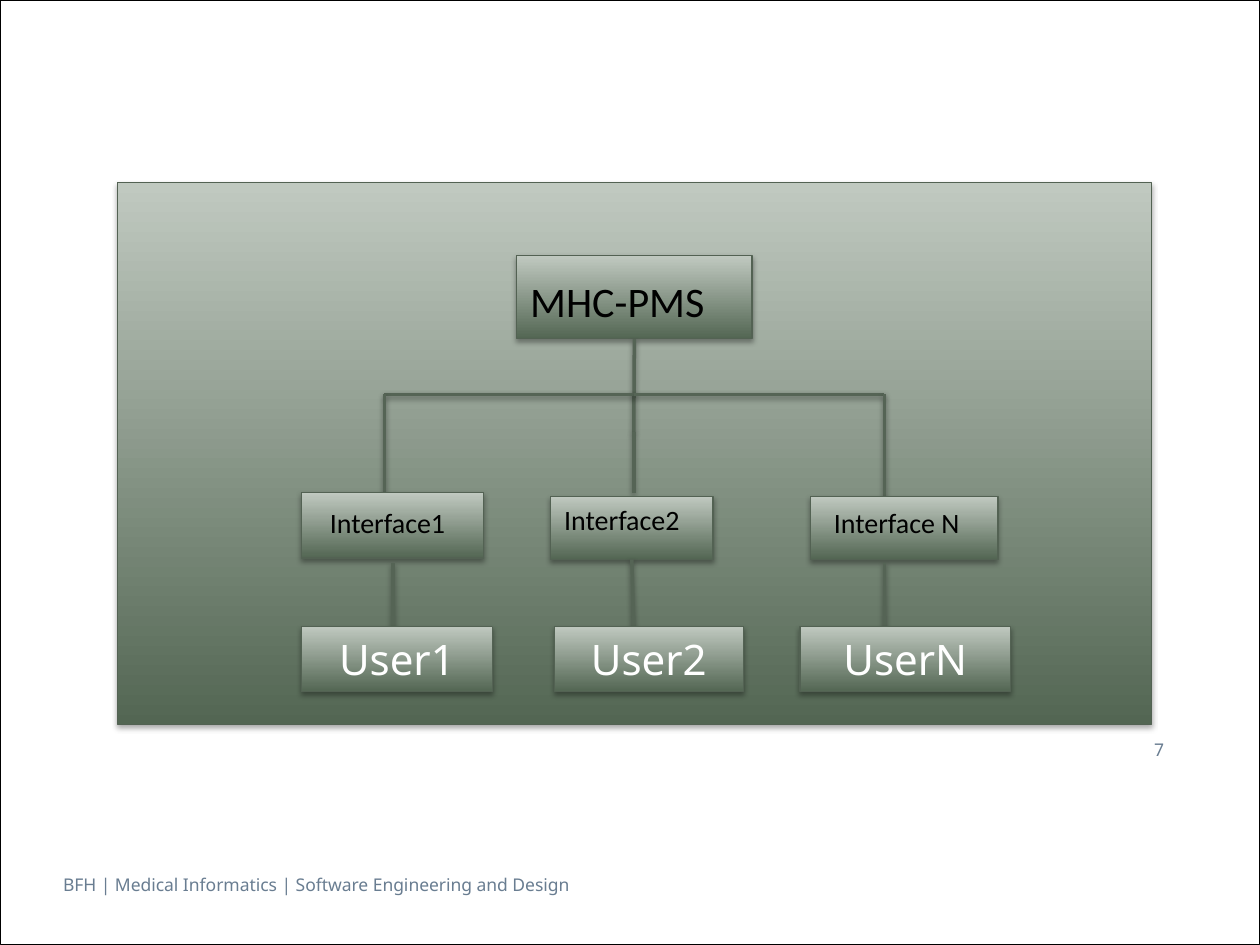
from dataclasses import dataclass

from lxml import etree
from pptx import Presentation
from pptx.dml.color import RGBColor
from pptx.enum.shapes import MSO_CONNECTOR as Connector, MSO_SHAPE as Shape
from pptx.enum.text import MSO_ANCHOR as Anchor, MSO_AUTO_SIZE as AutoSize, PP_ALIGN as Align
from pptx.oxml.ns import qn
from pptx.util import Inches, Pt


@dataclass(frozen=True)
class Theme:
    dark: str = "536653"
    light: str = "C0C9C0"
    border: str = "536253"
    link: str = "556455"
    black: str = "000000"
    white: str = "FFFFFF"
    muted: str = "697D91"
    label_font: str = "Calibri"
    body_font: str = "Noto Sans"
    large: int = 24
    medium: int = 16
    small: int = 10
    border_width: float = 0.75
    link_width: float = 2
    frame_width: float = 0.5


@dataclass(frozen=True)
class Branch:
    """Boxes are left, top, width, height within the diagram; link is x1, y1, x2, y2."""
    interface: str
    interface_box: tuple
    label_box: tuple
    user: str
    user_box: tuple
    link: tuple
    joined: bool


THEME = Theme()
BOTTOM = 2
PANEL = (0.93, 1.45, 8.21, 4.3)
ROOT = (3.17, 0.58, 1.87, 0.66)
ROOT_LABEL = (3.18, 0.69, 1.86, 0.5)
AXIS, BUS_Y = 4.1, 1.68
LEFT_X, RIGHT_X = 2.12, 6.09
TREE_LINES = [
    (AXIS, BUS_Y, LEFT_X, BUS_Y),
    (LEFT_X, BUS_Y, LEFT_X, 2.46),
    (AXIS, BUS_Y, RIGHT_X, BUS_Y),
    (RIGHT_X, BUS_Y, RIGHT_X, 2.6),
    (AXIS, 1.98, AXIS, 2.46),
]
BRANCHES = [
    Branch("Interface1", (1.46, 2.46, 1.45, 0.52), (1.59, 2.51, 1.26, 0.37),
           "User1", (1.46, 3.52, 1.52, 0.52), (2.19, 3.02, 2.19, 3.52), False),
    Branch("Interface2", (3.44, 2.49, 1.29, 0.5), (3.45, 2.49, 1.17, 0.37),
           "User2", (3.47, 3.52, 1.5, 0.52), (4.09, 2.99, AXIS, 3.58), True),
    Branch("Interface N", (5.5, 2.49, 1.49, 0.5), (5.59, 2.51, 1.49, 0.37),
           "UserN", (5.42, 3.52, 1.67, 0.52), (RIGHT_X, 3.02, RIGHT_X, 3.66), False),
]


def color(value):
    return RGBColor.from_string(value)


def inches(values):
    return [Inches(value) for value in values]


def offset(box, origin):
    """Move a box, or a line's two points, from the origin's corner to the slide."""
    return tuple(value + origin[index % 2] if index < 2 else value
                 for index, value in enumerate(box))


def add_shadow(shape, opacity, blur, distance):
    properties = shape._element.spPr
    effects = etree.SubElement(properties, qn("a:effectLst"))
    shadow = etree.SubElement(effects, qn("a:outerShdw"), blurRad=str(Pt(blur)),
                              dist=str(Pt(distance)), dir="5400000", rotWithShape="0")
    shade = etree.SubElement(shadow, qn("a:srgbClr"), val=THEME.black)
    etree.SubElement(shade, qn("a:alpha"), val=str(opacity * 1000))


def write(shape, text, align=Align.LEFT, **font_format):
    paragraph = shape.text_frame.paragraphs[0]
    paragraph.alignment = align
    run = paragraph.add_run()
    run.text = text
    run.font.color.rgb = color(font_format.pop("color"))
    for name, value in font_format.items():
        setattr(run.font, name, value)


def add_text(slide, box, text, frame_format, align=Align.LEFT, **font_format):
    shape = slide.shapes.add_textbox(*inches(box))
    for name, value in {"word_wrap": True, **frame_format}.items():
        setattr(shape.text_frame, name, value)
    write(shape, text, align, **font_format)


def add_label(slide, box, text, size):
    add_text(slide, box, text, {"auto_size": AutoSize.SHAPE_TO_FIT_TEXT},
             name=THEME.label_font, size=Pt(size), color=THEME.black)


def add_block(slide, box, text=None):
    """Shaded rectangle, dark at the bottom, with optional centred text."""
    shape = slide.shapes.add_shape(Shape.RECTANGLE, *inches(box))
    shape.fill.gradient()
    shape.fill.gradient_angle = 90
    for stop, shade in zip(shape.fill.gradient_stops, (THEME.dark, THEME.light)):
        stop.color.rgb = color(shade)
    shape.line.color.rgb = color(THEME.border)
    shape.line.width = Pt(THEME.border_width)
    add_shadow(shape, 35, 3.1, 1.8)
    if text:
        shape.text_frame.vertical_anchor = Anchor.MIDDLE
        write(shape, text, Align.CENTER, name=THEME.body_font,
              size=Pt(THEME.large), color=THEME.white)
    return shape


def add_link(slide, origin, points, source=None):
    start, end = offset(points[:2], origin), offset(points[2:], origin)
    link = slide.shapes.add_connector(Connector.STRAIGHT, *inches(start + end))
    if source is not None:
        link.begin_connect(source, BOTTOM)
    link.line.color.rgb = color(THEME.link)
    link.line.width = Pt(THEME.link_width)
    add_shadow(link, 38, 3.1, 1.6)


def add_diagram(slide, box):
    add_block(slide, box)
    root = add_block(slide, offset(ROOT, box))
    add_link(slide, box, (AXIS, ROOT[1] + ROOT[3], AXIS, 1.98), root)
    for points in TREE_LINES:
        add_link(slide, box, points)
    for branch in BRANCHES:
        interface = add_block(slide, offset(branch.interface_box, box))
        add_link(slide, box, branch.link, interface if branch.joined else None)
        add_block(slide, offset(branch.user_box, box), branch.user)
    add_label(slide, offset(ROOT_LABEL, box), "MHC-PMS", THEME.large)
    for branch in BRANCHES:
        add_label(slide, offset(branch.label_box, box), branch.interface, THEME.medium)


def add_frame(slide, box):
    frame = slide.shapes.add_shape(Shape.RECTANGLE, *inches(box))
    frame.shadow.inherit = False
    frame.fill.background()
    frame.line.color.rgb = color(THEME.black)
    frame.line.width = Pt(THEME.frame_width)


def add_footer(slide, box):
    add_text(slide, box, "BFH | Medical Informatics | Software Engineering and Design",
             {"margin_left": 0, "margin_right": 0, "auto_size": AutoSize.SHAPE_TO_FIT_TEXT},
             name=THEME.body_font, size=Pt(THEME.small), color=THEME.muted)


def add_page_number(slide, box):
    add_text(slide, box, "7", {"margin_right": 0, "vertical_anchor": Anchor.MIDDLE},
             Align.RIGHT, name=THEME.body_font, size=Pt(THEME.small), color=THEME.muted)


def main():
    presentation = Presentation()
    presentation.slide_width, presentation.slide_height = Inches(10), Inches(7.5)
    slide = presentation.slides.add_slide(presentation.slide_layouts[6])
    add_footer(slide, (0.5, 6.89, 7.31, 0.27))
    add_frame(slide, (0, 0, 10, 7.5))
    add_page_number(slide, (7.28, 5.75, 1.96, 0.4))
    add_diagram(slide, PANEL)
    presentation.save("out.pptx")


if __name__ == "__main__":
    main()
